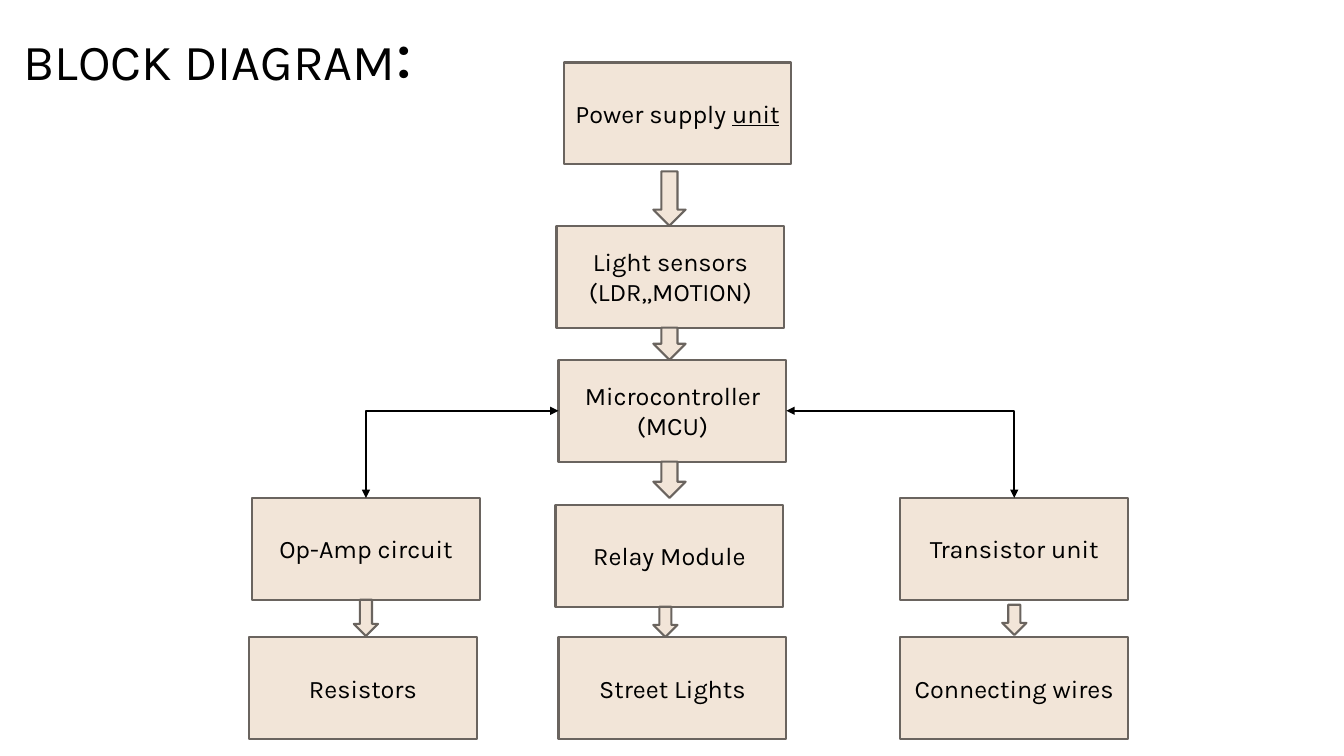
import pptx
import pptx.dml.color
import pptx.enum.shapes
import pptx.enum.text
import pptx.oxml
import pptx.oxml.ns
import pptx.util
from lxml import etree

SLIDE_WIDTH, SLIDE_HEIGHT = 13.33, 7.5
FONT = "Karla"
COLORS = {"fill": "F2E5D8", "border": "6A645F", "ink": "000000"}

TITLE_BOX = (0, 0, 4.33, 1.01)
DIAGRAM_BOX = (2.47, 0.62, 8.72, 6.71)
COLUMNS = (0.03, 3.07, 6.46)
ROWS = (0, 1.62, 2.95, 4.32, 5.7)
BLOCK_WIDTH, BLOCK_HEIGHT = 2.26, 1.01

# name: text runs, column, row, shift right, shift down
BLOCKS = {
    "supply": (("Power supply ", "unit"), 1, 0, 0.05, 0),
    "sensors": (("Light sensors\n(LDR,,MOTION)",), 1, 1, -0.02, 0),
    "controller": (("Microcontroller\n(MCU)",), 1, 2, 0, 0),
    "resistors": (("Resistors",), 0, 4, -0.03, 0),
    "wires": (("Connecting wires",), 2, 4, 0, 0),
    "transistor": (("Transistor unit",), 2, 3, 0, 0),
    "op_amp": (("Op-Amp circuit",), 0, 3, 0, 0),
    "relay": (("Relay Module",), 1, 3, -0.03, 0.07),
    "lights": (("Street Lights",), 1, 4, 0, 0),
}
# block above, shift right of its centre, gap below it, width, height
ARROWS = (
    ("supply", -0.08, 0.07, 0.32, 0.54),
    ("sensors", -0.01, 0, 0.32, 0.32),
    ("controller", -0.03, 0, 0.32, 0.36),
    ("op_amp", 0, 0, 0.24, 0.36),
    ("relay", -0.04, 0, 0.24, 0.3),
    ("transistor", 0, 0.05, 0.24, 0.3),
)
# side of the controller, block whose top is reached
LINKS = ((1, "op_amp"), (3, "transistor"))


def rgb(name):
    return pptx.dml.color.RGBColor.from_string(COLORS[name])


def format_run(run, size):
    run.font.name = FONT
    run.font.size = pptx.util.Pt(size)
    run.font.color.rgb = rgb("ink")


def add_outlined_shape(slide, kind, box):
    shape = slide.shapes.add_shape(kind, *map(pptx.util.Inches, box))
    shape.shadow.inherit = False
    shape.fill.solid()
    shape.fill.fore_color.rgb = rgb("fill")
    shape.line.color.rgb = rgb("border")
    shape.line.width = pptx.util.Pt(1.5)
    return shape


def add_title(slide, box):
    title = slide.shapes.title
    title.left, title.top, title.width, title.height = map(pptx.util.Inches, box)
    frame = title.text_frame
    frame.word_wrap = True
    frame.auto_size = pptx.enum.text.MSO_AUTO_SIZE.SHAPE_TO_FIT_TEXT
    frame.vertical_anchor = pptx.enum.text.MSO_ANCHOR.TOP
    paragraph = frame.paragraphs[0]
    paragraph.alignment = pptx.enum.text.PP_ALIGN.CENTER
    for text, size in (("BLOCK DIAGRAM", 36), (":", 54)):
        run = paragraph.add_run()
        run.text = text
        format_run(run, size)


def add_block(slide, box, texts):
    """Add a labelled block; a second text is underlined."""
    block = add_outlined_shape(slide, pptx.enum.shapes.MSO_SHAPE.RECTANGLE, box)
    frame = block.text_frame
    frame.word_wrap = True
    frame.vertical_anchor = pptx.enum.text.MSO_ANCHOR.MIDDLE
    frame.text = texts[0]
    for text in texts[1:]:
        run = frame.paragraphs[-1].add_run()
        run.text = text
        run.font.underline = True
    for paragraph in frame.paragraphs:
        paragraph.alignment = pptx.enum.text.PP_ALIGN.CENTER
        for run in paragraph.runs:
            format_run(run, 18)
    return block


def add_link(slide, start, side, end):
    """Join a side of one block to the top of another with a single bend."""
    link = slide.shapes.add_connector(
        pptx.enum.shapes.MSO_CONNECTOR.ELBOW, 0, 0, 0, 0)
    link.begin_connect(start, side)
    link.end_connect(end, 0)
    link.line.color.rgb = rgb("ink")
    link.line.width = pptx.util.Pt(1.5)
    properties = link._element.spPr
    properties.find(pptx.oxml.ns.qn("a:prstGeom")).set("prst", "bentConnector2")
    line = properties.find(pptx.oxml.ns.qn("a:ln"))
    for tag in ("a:headEnd", "a:tailEnd"):
        etree.SubElement(line, pptx.oxml.ns.qn(tag), type="triangle")
    etree.SubElement(properties, pptx.oxml.ns.qn("a:effectLst"))


def add_diagram(slide, box):
    left, top = box[:2]
    places, blocks = {}, {}
    for name, (texts, column, row, right, down) in BLOCKS.items():
        places[name] = (left + COLUMNS[column] + right, top + ROWS[row] + down)
        blocks[name] = add_block(
            slide, (*places[name], BLOCK_WIDTH, BLOCK_HEIGHT), texts)
    for name, shift, gap, width, height in ARROWS:
        x, y = places[name]
        add_outlined_shape(
            slide, pptx.enum.shapes.MSO_SHAPE.DOWN_ARROW,
            (x + (BLOCK_WIDTH - width) / 2 + shift, y + BLOCK_HEIGHT + gap,
             width, height))
    for side, name in LINKS:
        add_link(slide, blocks["controller"], side, blocks[name])


def main():
    presentation = pptx.Presentation()
    presentation.slide_width = pptx.util.Inches(SLIDE_WIDTH)
    presentation.slide_height = pptx.util.Inches(SLIDE_HEIGHT)
    slide = presentation.slides.add_slide(presentation.slide_layouts[5])
    add_title(slide, TITLE_BOX)
    add_diagram(slide, DIAGRAM_BOX)
    presentation.save("out.pptx")


if __name__ == "__main__":
    main()
